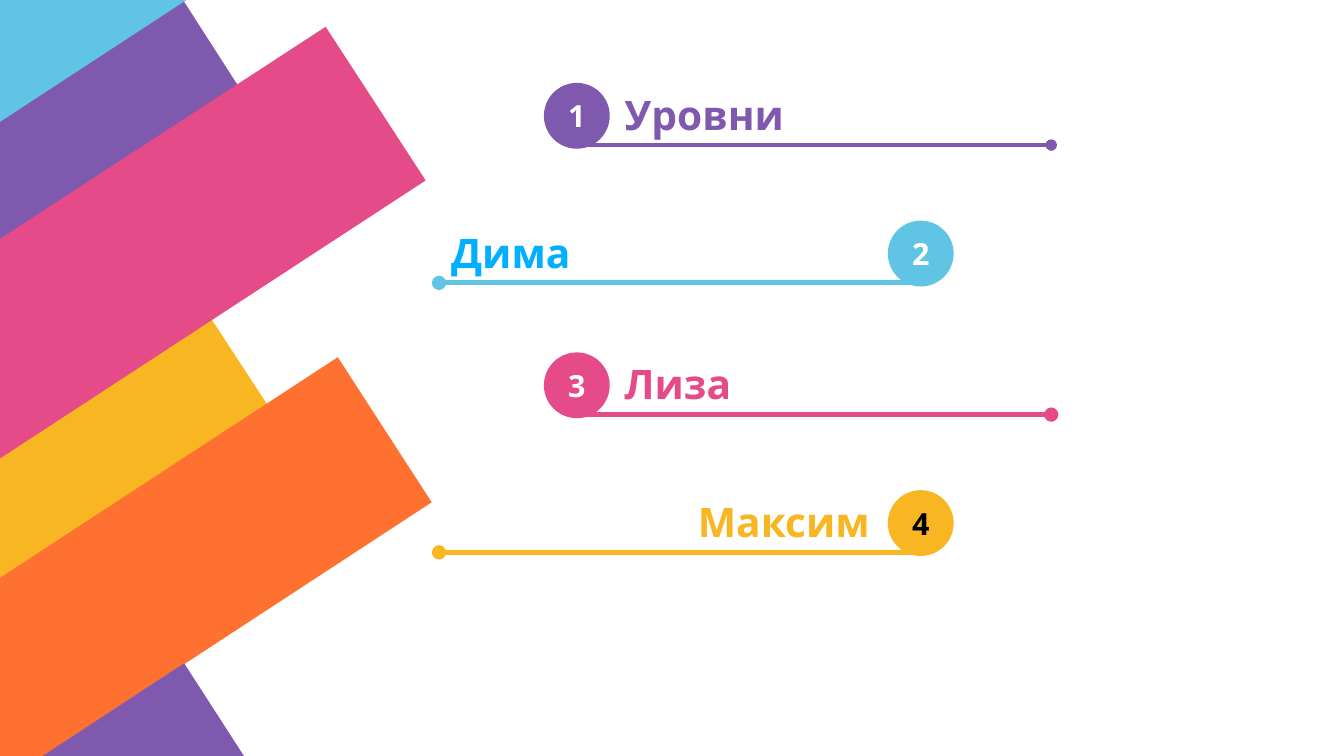
from lxml import etree
from pptx import Presentation
from pptx import util as u
from pptx.dml.color import RGBColor
from pptx.enum import shapes, text
from pptx.oxml.ns import qn

PURPLE = RGBColor(0x7F, 0x59, 0xAE)
YELLOW = RGBColor(0xF8, 0xB6, 0x22)
PINK = RGBColor(0xE5, 0x4B, 0x89)
ORANGE = RGBColor(0xFE, 0x71, 0x30)
SKY = RGBColor(0x60, 0xC4, 0xE4)
BLUE = RGBColor(0x00, 0xB0, 0xFF)
WHITE = RGBColor(0xFF, 0xFF, 0xFF)
BLACK = RGBColor(0, 0, 0)
FONT = "Noto Sans"
DISC = 0.54
ROW_HEIGHT = 0.51
LEFT, RIGHT = text.PP_ALIGN.LEFT, text.PP_ALIGN.RIGHT

# Diagonal bands, from back to front
BANDS = [
    (PURPLE, [(1.49, 0), (0, 0.97), (0, 2.13), (2.02, 0.81), (1.5, 0)]),
    (YELLOW, [(1.69, 2.55), (0, 3.65), (0, 4.77), (2.2, 3.33)]),
    (PINK, [(2.67, 0.22), (0, 1.96), (0, 3.76), (3.49, 1.48)]),
    (ORANGE, [(2.77, 2.93), (0, 4.74), (0, 6.2), (0.36, 6.2), (3.54, 4.12)]),
    (PURPLE, [(1.51, 5.44), (0.35, 6.2), (2, 6.2)]),
    (SKY, [(0, 0), (0, 1), (1.53, 0)]),
]

# Disc left, label left, line start (dotted end), line end
DISC_ON_LEFT = (4.46, 5.12, 8.62, 4.72)
DISC_ON_RIGHT = (7.28, 3.7, 3.6, 7.49)

# Top, layout, label, alignment, accent, label colour, number colour, line width
ITEMS = [
    (0.68, DISC_ON_LEFT, "Уровни", LEFT, PURPLE, PURPLE, WHITE, 2.27),
    (1.81, DISC_ON_RIGHT, "Дима", LEFT, SKY, BLUE, WHITE, 2.83),
    (2.89, DISC_ON_LEFT, "Лиза", LEFT, PINK, PINK, WHITE, 2.83),
    (4.02, DISC_ON_RIGHT, "Максим", RIGHT, YELLOW, YELLOW, BLACK, 2.83),
]


def paint(shape, color):
    shape.shadow.inherit = False
    shape.fill.solid()
    shape.fill.fore_color.rgb = color
    shape.line.fill.background()


def write(shape, words, size, color, align, wrap):
    frame = shape.text_frame
    frame.word_wrap = wrap
    frame.vertical_anchor = text.MSO_ANCHOR.MIDDLE
    frame.margin_left = frame.margin_right = 0
    frame.margin_top = frame.margin_bottom = 0
    para = frame.paragraphs[0]
    para.text = words
    para.alignment = align
    para.font.name = FONT
    para.font.size = u.Pt(size)
    para.font.bold = True
    para.font.color.rgb = color


def add_band(page, color, points):
    corners = [(u.Inches(x), u.Inches(y)) for x, y in points]
    builder = page.shapes.build_freeform(*corners[0])
    builder.add_line_segments(corners[1:], close=True)
    paint(builder.convert_to_shape(), color)


def add_disc(page, left, top, number, fill, color):
    disc = page.shapes.add_shape(
        shapes.MSO_SHAPE.OVAL, u.Inches(left), u.Inches(top),
        u.Inches(DISC), u.Inches(DISC))
    paint(disc, fill)
    write(disc, str(number), 18, color, text.PP_ALIGN.CENTER, False)


def add_dotted_line(page, start, end, y, color, width):
    line = page.shapes.add_connector(
        shapes.MSO_CONNECTOR.STRAIGHT,
        u.Inches(start), u.Inches(y), u.Inches(end), u.Inches(y))
    line.line.color.rgb = color
    line.line.width = u.Pt(width)
    properties = line._element.spPr
    etree.SubElement(properties.find(qn("a:ln")), qn("a:headEnd"), type="oval")
    etree.SubElement(properties, qn("a:effectLst"))


def add_label(page, left, top, words, align, color):
    box = page.shapes.add_textbox(
        u.Inches(left), u.Inches(top), u.Inches(3.43), u.Inches(ROW_HEIGHT))
    write(box, words, 24, color, align, True)


def main():
    deck = Presentation()
    deck.slide_width = u.Inches(11.02)
    deck.slide_height = u.Inches(6.2)
    page = deck.slides.add_slide(deck.slide_layouts[6])

    # Decoration
    for color, points in BANDS:
        add_band(page, color, points)

    # Numbered items
    for number, item in enumerate(ITEMS, start=1):
        top, layout, words, align, accent, label_color, number_color, width = item
        disc_left, label_left, start, end = layout
        add_disc(page, disc_left, top, number, accent, number_color)
        add_dotted_line(page, start, end, top + ROW_HEIGHT, accent, width)
        add_label(page, label_left, top, words, align, label_color)

    deck.save("out.pptx")


if __name__ == "__main__":
    main()
